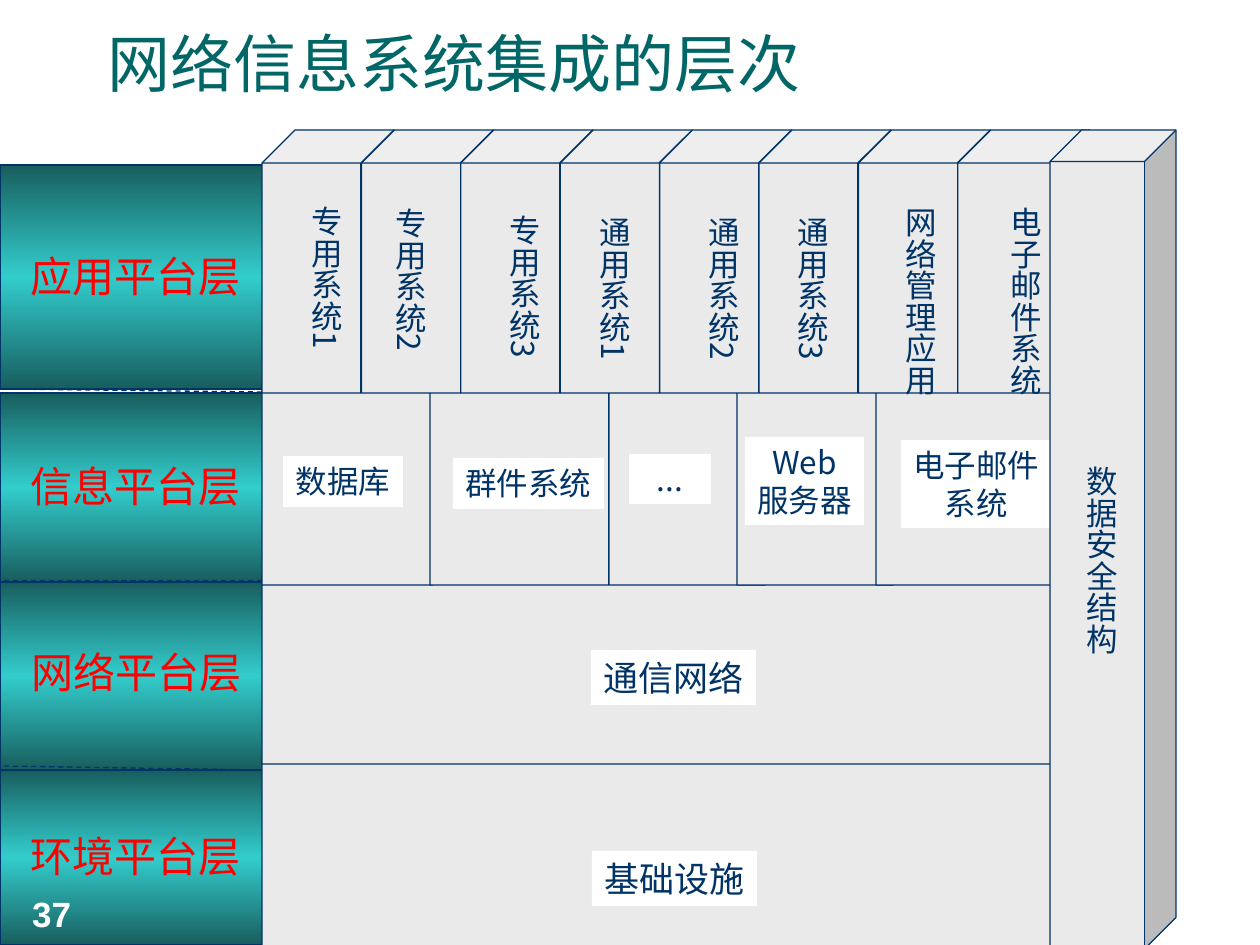
import copy
from dataclasses import dataclass

import pptx
import pptx.dml.color
import pptx.enum.dml
import pptx.enum.shapes
import pptx.enum.text
import pptx.oxml
import pptx.oxml.ns
import pptx.util

PX = 914400 / 126
SHAPE = pptx.enum.shapes.MSO_SHAPE
ANCHOR = pptx.enum.text.MSO_ANCHOR
ALIGN = pptx.enum.text.PP_ALIGN
FIT = pptx.enum.text.MSO_AUTO_SIZE


@dataclass(frozen=True)
class Theme:
    title: str = "006666"
    ink: str = "003366"
    face: str = "EAEAEA"
    white: str = "FFFFFF"
    layer: str = "FF0000"
    band_dark: str = "185E5E"
    band_light: str = "33CCCC"
    cjk: str = "Noto Sans CJK SC"
    serif: str = "Times New Roman"
    sans: str = "Arial"
    title_size: int = 36
    layer_size: int = 24
    large: int = 20
    body: int = 18
    line: float = 0.75
    leading: float = 1.2


T = Theme()

LAYERS = [  # band top, band height, label left, label top, name
    (165, 224, 18, 244, "应用平台层"),
    (393, 189, 18, 454, "信息平台层"),
    (582, 188, 19, 640, "网络平台层"),
    (770, 175, 18, 824, "环境平台层"),
]
DIVIDERS = [(581, 581), (392, 389), (770, 766)]  # y at right end, y at left end
WIDE_CUBES = [(262, 697, 861, 251), (262, 513, 861, 251)]
INFO_CUBES = [
    (262, 328, 227, 257),
    (430, 325, 238, 260),
    (609, 325, 208, 260),
    (737, 325, 208, 260),
    (876, 328, 237, 257),
]
APPLICATIONS = [  # label left, top, height, name
    (288, 193, 165, "专用系统1"),
    (372, 195, 165, "专用系统2"),
    (486, 202, 165, "专用系统3"),
    (576, 204, 165, "通用系统1"),
    (685, 204, 165, "通用系统2"),
    (774, 204, 165, "通用系统3"),
    (882, 194, 202, "网络管理应用"),
    (987, 194, 202, "电子邮件系统"),
]
APP_LEFT, APP_STEP = 262, 99.4
INFO_LABELS = [
    ((283, 456, 120, 51), "数据库"),
    ((453, 458, 151, 51), "群件系统"),
    ((629, 454, 82, 50), "..."),
    ((745, 437, 119, 88), "Web\n服务器"),
    ((901, 440, 151, 88), "电子邮件\n系统"),
]
BASE_LABELS = [((591, 650, 165, 55), "通信网络"), ((592, 851, 165, 55), "基础设施")]


def rgb(value):
    return pptx.dml.color.RGBColor.from_string(value)


def emu(*lengths):
    return [pptx.util.Emu(round(n * PX)) for n in lengths]


def set_all(obj, values):
    for name, value in values.items():
        setattr(obj, name, value)


def outline(sp):
    sp.line.color.rgb = rgb(T.ink)
    sp.line.width = pptx.util.Pt(T.line)


def add_shape(slide, kind, box, fill=None):
    sp = slide.shapes.add_shape(kind, *emu(*box))
    sp.shadow.inherit = False
    if fill:
        sp.fill.solid()
        sp.fill.fore_color.rgb = rgb(fill)
    return sp


def write(sp, text, size, color, font=T.cjk, frame=None, para=None, bold=False):
    """Fill a shape with one paragraph per line of text."""
    tf = sp.text_frame
    set_all(tf, {"word_wrap": False, "vertical_anchor": ANCHOR.TOP,
                 "auto_size": FIT.NONE, **(frame or {})})
    for i, line in enumerate(text.split("\n")):
        p = tf.add_paragraph() if i else tf.paragraphs[0]
        set_all(p, {"alignment": ALIGN.LEFT,
                    "line_spacing": pptx.util.Pt(size * T.leading), **(para or {})})
        r = p.add_run()
        r.text = line
        set_all(r.font, {"name": font, "size": pptx.util.Pt(size), "bold": bold})
        r.font.color.rgb = rgb(color)
        ea = pptx.oxml.parse_xml(
            f'<a:ea {pptx.oxml.ns.nsdecls("a")} typeface="{T.cjk}"/>')
        r.font._element.find(pptx.oxml.ns.qn("a:latin")).addnext(ea)


def add_text(slide, box, text, size, color, **style):
    sp = slide.shapes.add_textbox(*emu(*box))
    write(sp, text, size, color, **style)
    return sp


def add_vertical_text(slide, box, text):
    side, end = emu(6, 13)
    sp = add_text(slide, box, text, T.body, T.ink,
                  frame={"margin_left": side, "margin_right": side,
                         "margin_top": end, "margin_bottom": end})
    sp.text_frame._txBody.bodyPr.set("vert", "eaVert")


def add_cube(slide, box):
    outline(add_shape(slide, SHAPE.CUBE, box, T.face))


def add_plate(slide, box, text, size):
    """White label lying on a cube face."""
    sp = add_shape(slide, SHAPE.RECTANGLE, box, T.white)
    sp.line.fill.background()
    write(sp, text, size, T.ink, para={"alignment": ALIGN.CENTER})


def add_band(slide, top, height):
    """Layer background, dark at both edges and light in the middle."""
    sp = add_shape(slide, SHAPE.RECTANGLE, (0, top, 263, height))
    outline(sp)
    sp.fill.gradient()
    sp.fill.gradient_angle = 90
    stops = sp._element.spPr.find(".//" + pptx.oxml.ns.qn("a:gsLst"))
    stops.append(copy.deepcopy(stops[0]))
    colors = (T.band_dark, T.band_light, T.band_dark)
    for stop, position, color in zip(sp.fill.gradient_stops, (0, 0.5, 1), colors):
        stop.position = position
        stop.color.rgb = rgb(color)


def add_divider(slide, right_y, left_y):
    line = slide.shapes.add_connector(
        pptx.enum.shapes.MSO_CONNECTOR.STRAIGHT, *emu(262, right_y, 0, left_y))
    outline(line)
    line.line.dash_style = pptx.enum.dml.MSO_LINE.DASH
    line._element.spPr.append(
        pptx.oxml.parse_xml(f'<a:effectLst {pptx.oxml.ns.nsdecls("a")}/>'))


def main():
    prs = pptx.Presentation()
    prs.slide_width, prs.slide_height = emu(1260, 945)
    slide = prs.slides.add_slide(prs.slide_layouts[6])

    for top, height, *_ in LAYERS:
        add_band(slide, top, height)
    for ends in DIVIDERS:
        add_divider(slide, *ends)
    for _, _, left, top, name in LAYERS:
        add_text(slide, (left, top, 234, 63), name, T.layer_size, T.layer, font=T.serif)
    add_text(slide, (95, 0, 1071, 107), "网络信息系统集成的层次", T.title_size, T.title,
             font=T.sans, para={"line_spacing": 0.9},
             frame={"vertical_anchor": ANCHOR.BOTTOM, "word_wrap": True})

    for box in WIDE_CUBES + INFO_CUBES:
        add_cube(slide, box)
    for i in range(len(APPLICATIONS)):
        add_cube(slide, (APP_LEFT + i * APP_STEP, 130, 132, 263))
    for left, top, height, name in APPLICATIONS:
        add_vertical_text(slide, (left, top, 63, height), name)
    for box, name in INFO_LABELS:
        add_plate(slide, box, name, T.body)
    for box, name in BASE_LABELS:
        add_plate(slide, box, name, T.large)

    add_cube(slide, (1050, 130, 126, 819))
    add_vertical_text(slide, (1063, 453, 63, 266), "数据安全结构")
    add_text(slide, (11, 887, 81, 54), "37", T.large, T.white, font=T.sans, bold=True,
             frame={"vertical_anchor": ANCHOR.BOTTOM, "word_wrap": True},
             para={"alignment": ALIGN.CENTER})
    prs.save("out.pptx")


if __name__ == "__main__":
    main()
